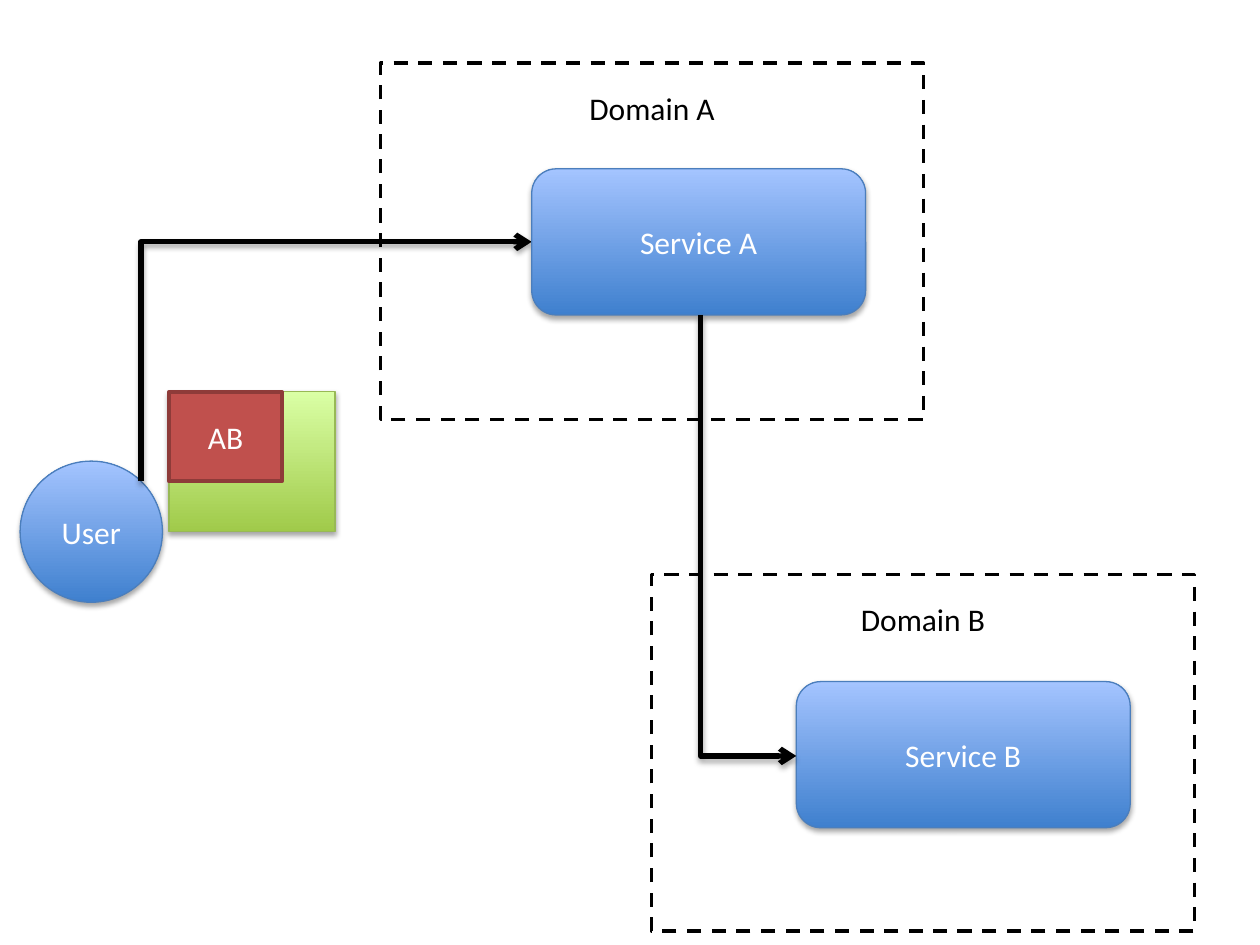
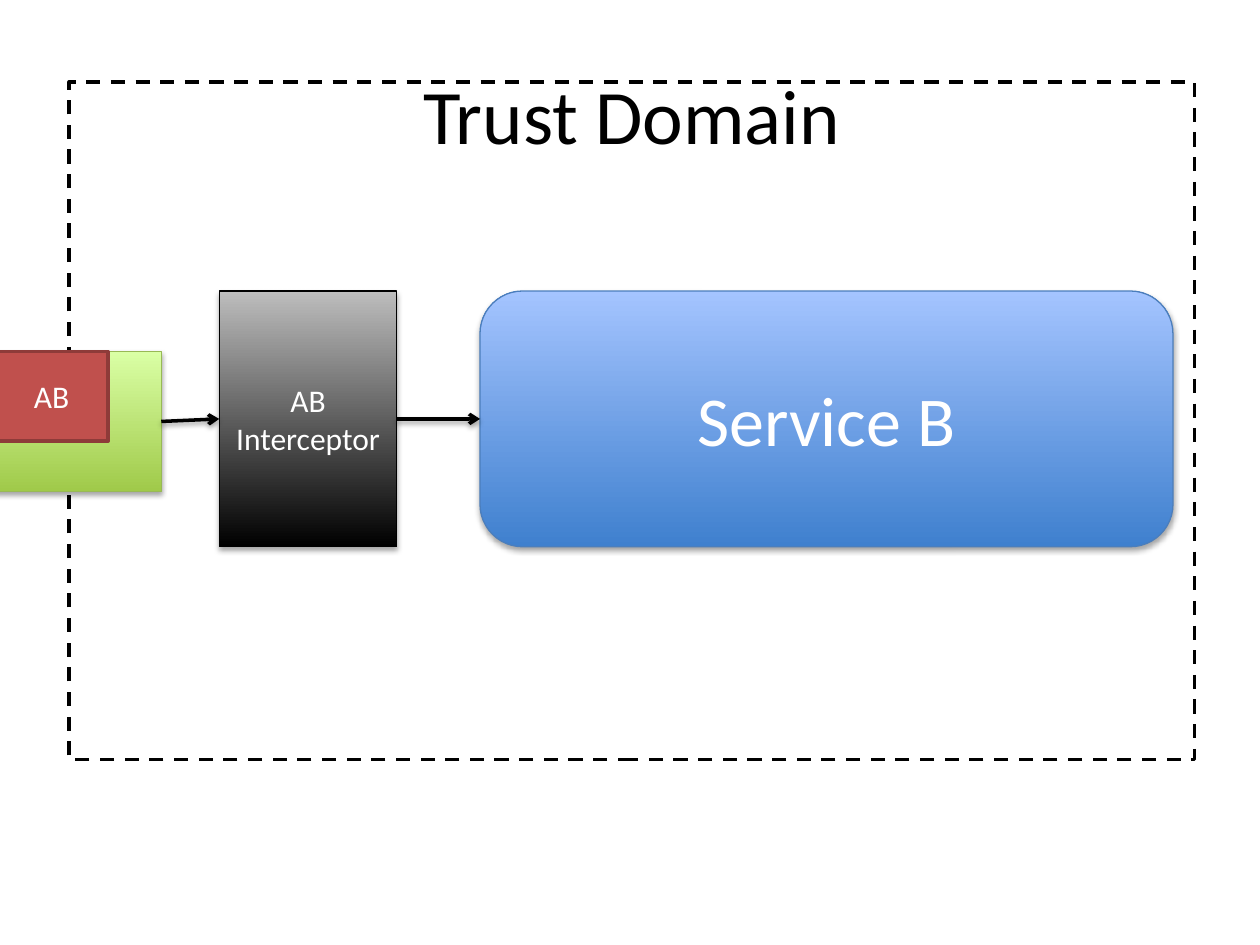
from lxml import etree
from pptx import Presentation
from pptx.dml.color import RGBColor
from pptx.enum.dml import MSO_LINE
from pptx.enum.shapes import MSO_CONNECTOR, MSO_SHAPE
from pptx.enum.text import MSO_ANCHOR, PP_ALIGN
from pptx.oxml.ns import qn
from pptx.util import Inches, Pt

RECTANGLE = MSO_SHAPE.RECTANGLE
ROUNDED = MSO_SHAPE.ROUNDED_RECTANGLE
OVAL = MSO_SHAPE.OVAL
STRAIGHT = MSO_CONNECTOR.STRAIGHT
ELBOW = MSO_CONNECTOR.ELBOW
DASH = MSO_LINE.DASH
MIDDLE = MSO_ANCHOR.MIDDLE
CENTER = PP_ALIGN.CENTER
LEFT_SIDE, RIGHT_SIDE = 1, 3

FONT = "Calibri"
COLORS = {
    "black": "000000", "white": "FFFFFF",
    "blue_dark": "3F80CE", "blue_light": "A4C4FF", "blue_line": "4B7EBC",
    "green_dark": "A0CA4A", "green_light": "DAFFA5", "green_line": "98B955",
    "gray_light": "BDBDBD", "red": "C0504D", "red_line": "8E3B39",
}
# Bottom colour, top colour, outline
BLUE = ("blue_dark", "blue_light", "blue_line")
GREEN = ("green_dark", "green_light", "green_line")
BLACK = ("black", "gray_light", "black")


def color(name):
    return RGBColor.from_string(COLORS[name])


class Diagram:
    def __init__(self):
        self.presentation = Presentation()
        self.presentation.slide_width = Inches(10)
        self.presentation.slide_height = Inches(7.5)
        self.slide = None

    def new_slide(self):
        self.slide = self.presentation.slides.add_slide(
            self.presentation.slide_layouts[6])

    def shadow(self, properties, opacity=35, distance=1.8):
        effects = properties.find(qn("a:effectLst"))
        if effects is None:
            effects = etree.SubElement(properties, qn("a:effectLst"))
        outer = etree.SubElement(
            effects, qn("a:outerShdw"), blurRad=str(Pt(3.1)),
            dist=str(Pt(distance)), dir="5400000", rotWithShape="0")
        tint = etree.SubElement(outer, qn("a:srgbClr"), val=COLORS["black"])
        etree.SubElement(tint, qn("a:alpha"), val=str(opacity * 1000))

    def text(self, shape, words, size, color_name):
        frame = shape.text_frame
        frame.word_wrap = True
        frame.vertical_anchor = MIDDLE
        paragraph = frame.paragraphs[0]
        paragraph.alignment = CENTER
        run = paragraph.add_run()
        run.text = words
        run.font.name = FONT
        run.font.size = Pt(size)
        run.font.color.rgb = color(color_name)

    def shape(self, kind, box, line_name, line_width):
        shape = self.slide.shapes.add_shape(kind, *map(Inches, box))
        shape.shadow.inherit = False
        shape.line.color.rgb = color(line_name)
        shape.line.width = Pt(line_width)
        return shape

    def flat(self, box, fill_name, line_name):
        shape = self.shape(RECTANGLE, box, line_name, 2)
        shape.fill.solid()
        shape.fill.fore_color.rgb = color(fill_name)
        return shape

    def glossy(self, kind, box, palette, words=None, size=18):
        bottom, top, outline = palette
        shape = self.shape(kind, box, outline, 0.75)
        shape.fill.gradient()
        shape.fill.gradient_angle = 90
        for stop, name, position in zip(shape.fill.gradient_stops, (bottom, top), (0, 1)):
            stop.color.rgb = color(name)
            stop.position = position
        self.shadow(shape._element.spPr)
        if words:
            self.text(shape, words, size, "white")
        return shape

    def domain(self, box, name, title_offset, size=18):
        self.flat(box, "white", "black").line.dash_style = DASH
        left, top, width, _ = box
        title = self.slide.shapes.add_textbox(
            Inches(left), Inches(top + title_offset), Inches(width), Pt(size * 1.22))
        title.text_frame.margin_top = title.text_frame.margin_bottom = 0
        self.text(title, name, size, "black")

    def token(self, left, top):
        card = self.glossy(RECTANGLE, (left, top, 1.32, 1.11), GREEN)
        label = self.flat((left, top, 0.9, 0.71), "red", "red_line")
        self.text(label, "AB", 18, "white")
        return card

    def arrow_style(self, connector, width, **shadow):
        connector.line.color.rgb = color("black")
        connector.line.width = Pt(width)
        etree.SubElement(connector.line._get_or_add_ln(), qn("a:tailEnd"), type="arrow")
        self.shadow(connector._element.spPr, **shadow)

    def straight_arrow(self, source, target):
        connector = self.slide.shapes.add_connector(STRAIGHT, 0, 0, 0, 0)
        connector.begin_connect(source, RIGHT_SIDE)
        connector.end_connect(target, LEFT_SIDE)
        self.arrow_style(connector, 2, opacity=38, distance=1.6)

    def corner_arrow(self, start, end):
        """Go vertically from start, then right to end."""
        (x1, y1), (x2, y2) = start, end
        upward = y2 < y1
        # The one-bend preset runs sideways first, so it is turned a quarter
        center_x, center_y = (x1 + x2) / 2, (y1 + y2) / 2
        half_width, half_height = abs(y2 - y1) / 2, abs(x2 - x1) / 2
        if not upward:
            half_height = -half_height
        connector = self.slide.shapes.add_connector(
            ELBOW,
            Inches(center_x + half_width), Inches(center_y + half_height),
            Inches(center_x - half_width), Inches(center_y - half_height))
        properties = connector._element.spPr
        properties.find(qn("a:prstGeom")).set("prst", "bentConnector2")
        properties.find(qn("a:xfrm")).set("rot", "5400000" if upward else "16200000")
        self.arrow_style(connector, 3)


def build_two_domains(diagram):
    diagram.new_slide()
    # Domains
    diagram.domain((5.17, 4.56, 4.31, 2.83), "Domain B", 0.2)
    diagram.domain((3.02, 0.5, 4.31, 2.83), "Domain A", 0.2)
    # User, services and the calls between them
    diagram.glossy(OVAL, (0.16, 3.66, 1.13, 1.12), BLUE, "User")
    diagram.corner_arrow((1.12, 3.82), (4.22, 1.92))
    diagram.glossy(ROUNDED, (4.22, 1.34, 2.65, 1.16), BLUE, "Service A")
    diagram.glossy(ROUNDED, (6.32, 5.41, 2.65, 1.16), BLUE, "Service B")
    diagram.corner_arrow((5.56, 2.5), (6.32, 6))
    # Message carrying the token
    diagram.token(1.34, 3.11)


def build_trust_domain(diagram):
    diagram.new_slide()
    diagram.domain((0.55, 0.65, 8.93, 5.38), "Trust Domain", -0.12, size=44)
    # Token passes the interceptor on its way to the service
    service = diagram.glossy(ROUNDED, (3.81, 2.31, 5.5, 2.03), BLUE, "Service B", 40)
    interceptor = diagram.glossy(RECTANGLE, (1.74, 2.31, 1.41, 2.03), BLACK, "AB Interceptor")
    message = diagram.token(-0.04, 2.79)
    diagram.straight_arrow(message, interceptor)
    diagram.straight_arrow(interceptor, service)


def main():
    diagram = Diagram()
    build_two_domains(diagram)
    build_trust_domain(diagram)
    diagram.presentation.save("out.pptx")


if __name__ == "__main__":
    main()
